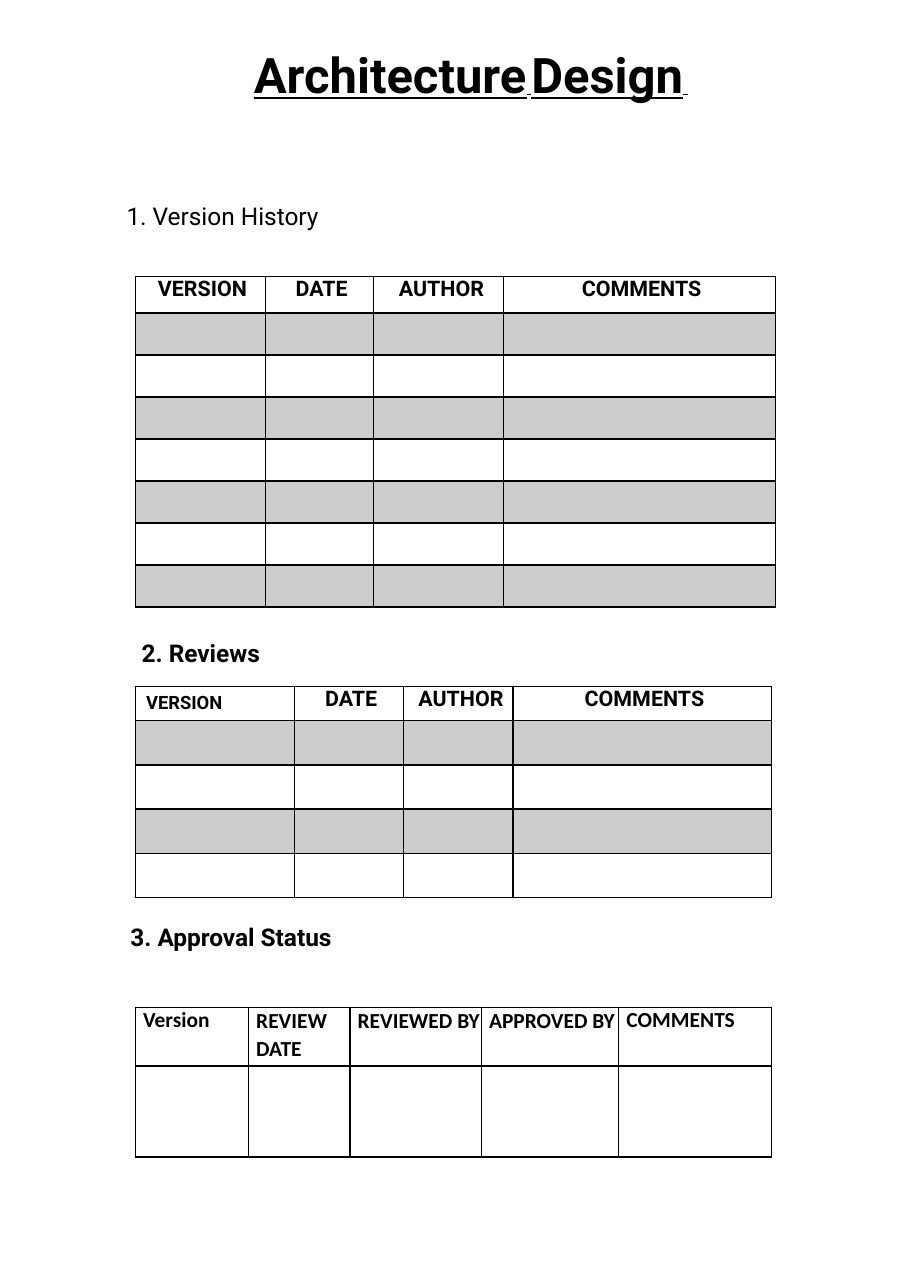
from dataclasses import dataclass

from lxml import etree
from pptx import Presentation
from pptx.dml.color import RGBColor
from pptx.enum import text as txt
from pptx.oxml import ns
from pptx.util import Cm, Pt

TITLE_ONLY = 5
PAGE_WIDTH, PAGE_HEIGHT = Pt(595), Pt(842.5)


@dataclass(frozen=True)
class Theme:
    ink: str = "000000"
    band: str = "CCCCCC"
    font: str = "Roboto"
    approval_font: str = "Calibri"
    title: float = 32
    title_gap: float = 12
    heading: float = 16
    label: float = 14
    small_label: float = 12
    border: float = 1


THEME = Theme()


@dataclass(frozen=True)
class Heading:
    wording: str
    left: float
    top: float
    width: float
    bold: bool = True


@dataclass(frozen=True)
class Label:
    wording: str
    size: float = THEME.label
    font: str = THEME.font
    centred: bool = True
    inset_left: float = 0.1
    inset_top: float = 0
    spacing: float = 1.0


@dataclass(frozen=True)
class Grid:
    top: float
    columns: tuple[float, ...]
    labels: tuple[Label, ...]
    header_height: float
    body_height: float
    body_rows: int
    banded: bool = True


def approval_label(wording: str, spacing: float = 1.0) -> Label:
    return Label(wording, font=THEME.approval_font, centred=False,
                 inset_left=0.18, spacing=spacing)


GRID_LEFT = 3.12
DATE_AUTHOR_COMMENTS = (Label("DATE"), Label("AUTHOR", inset_left=0.13), Label("COMMENTS"))

HEADINGS = (
    Heading("1. Version History", 2.92, 4.65, 6, bold=False),
    Heading("2. Reviews", 3.27, 14.73, 4),
    Heading("3. Approval Status", 3.01, 21.29, 7.5),
)

GRIDS = (
    Grid(6.38, (3, 2.5, 3, 6.26), (Label("VERSION"), *DATE_AUTHOR_COMMENTS),
         0.84, 0.97, 7),
    Grid(15.84, (3.67, 2.52, 2.52, 5.97),
         (Label("VERSION", THEME.small_label, centred=False, inset_left=0.25, inset_top=0.13),
          *DATE_AUTHOR_COMMENTS),
         0.79, 1.02, 4),
    Grid(23.25, (2.61, 2.34, 3.03, 3.17, 3.53),
         (approval_label("Version"),
          approval_label("REVIEW DATE", 1.04),
          approval_label("REVIEWED BY", 1.04),
          approval_label("APPROVED BY", 1.04),
          approval_label("COMMENTS")),
         1.35, 2.1, 1, banded=False),
)


def style_run(run, size: float, font: str = THEME.font, bold: bool = True) -> None:
    run.font.size = Pt(size)
    run.font.name = font
    run.font.bold = bold
    run.font.color.rgb = RGBColor.from_string(THEME.ink)


def clear_insets(holder) -> None:
    """Zero the margins of a text frame or a table cell."""
    holder.margin_left = holder.margin_right = 0
    holder.margin_top = holder.margin_bottom = 0


def draw_title(slide) -> None:
    title = slide.shapes.title
    title.left, title.top, title.width, title.height = Cm(0), Cm(1.02), Cm(21.67), Cm(3.15)
    frame = title.text_frame
    clear_insets(frame)
    frame.margin_left = Cm(0.05)
    frame.word_wrap = True
    frame.auto_size = txt.MSO_AUTO_SIZE.NONE
    frame.vertical_anchor = txt.MSO_ANCHOR.TOP
    line = frame.paragraphs[0]
    line.alignment = txt.PP_ALIGN.CENTER
    for word in ("Architecture", "Design"):
        for piece, size in ((word, THEME.title), (" ", THEME.title_gap)):
            run = line.add_run()
            run.text = piece
            style_run(run, size)
            run.font.underline = True


def draw_heading(slide, heading: Heading) -> None:
    box = slide.shapes.add_textbox(
        Cm(heading.left), Cm(heading.top), Cm(heading.width), Cm(0.7))
    frame = box.text_frame
    clear_insets(frame)
    frame.word_wrap = True
    frame.text = heading.wording
    style_run(frame.paragraphs[0].runs[0], THEME.heading, bold=heading.bold)


def outline_cell(cell) -> None:
    properties = cell._tc.get_or_add_tcPr()
    for side in ("lnL", "lnR", "lnT", "lnB"):
        edge = etree.SubElement(properties, ns.qn(f"a:{side}"), w=str(Pt(THEME.border)))
        fill = etree.SubElement(edge, ns.qn("a:solidFill"))
        etree.SubElement(fill, ns.qn("a:srgbClr"), val=THEME.ink)


def write_label(cell, label: Label) -> None:
    cell.margin_left, cell.margin_top = Cm(label.inset_left), Cm(label.inset_top)
    cell.text_frame.text = label.wording
    line = cell.text_frame.paragraphs[0]
    line.alignment = txt.PP_ALIGN.CENTER if label.centred else txt.PP_ALIGN.LEFT
    line.line_spacing = label.spacing
    style_run(line.runs[0], label.size, label.font)


def draw_grid(slide, grid: Grid) -> None:
    heights = [grid.header_height] + [grid.body_height] * grid.body_rows
    table = slide.shapes.add_table(
        len(heights), len(grid.columns), Cm(GRID_LEFT), Cm(grid.top),
        Cm(sum(grid.columns)), Cm(sum(heights))).table
    table.first_row = table.horz_banding = False
    for column, width in zip(table.columns, grid.columns):
        column.width = Cm(width)
    for index, (row, height) in enumerate(zip(table.rows, heights)):
        row.height = Cm(height)
        for cell in row.cells:
            clear_insets(cell)
            outline_cell(cell)
            if grid.banded and index % 2:
                cell.fill.solid()
                cell.fill.fore_color.rgb = RGBColor.from_string(THEME.band)
            else:
                cell.fill.background()
    for cell, label in zip(table.rows[0].cells, grid.labels):
        write_label(cell, label)


def main() -> None:
    deck = Presentation()
    deck.slide_width, deck.slide_height = PAGE_WIDTH, PAGE_HEIGHT
    slide = deck.slides.add_slide(deck.slide_layouts[TITLE_ONLY])
    draw_title(slide)
    for heading in HEADINGS:
        draw_heading(slide, heading)
    for grid in GRIDS:
        draw_grid(slide, grid)
    deck.save("out.pptx")


if __name__ == "__main__":
    main()
